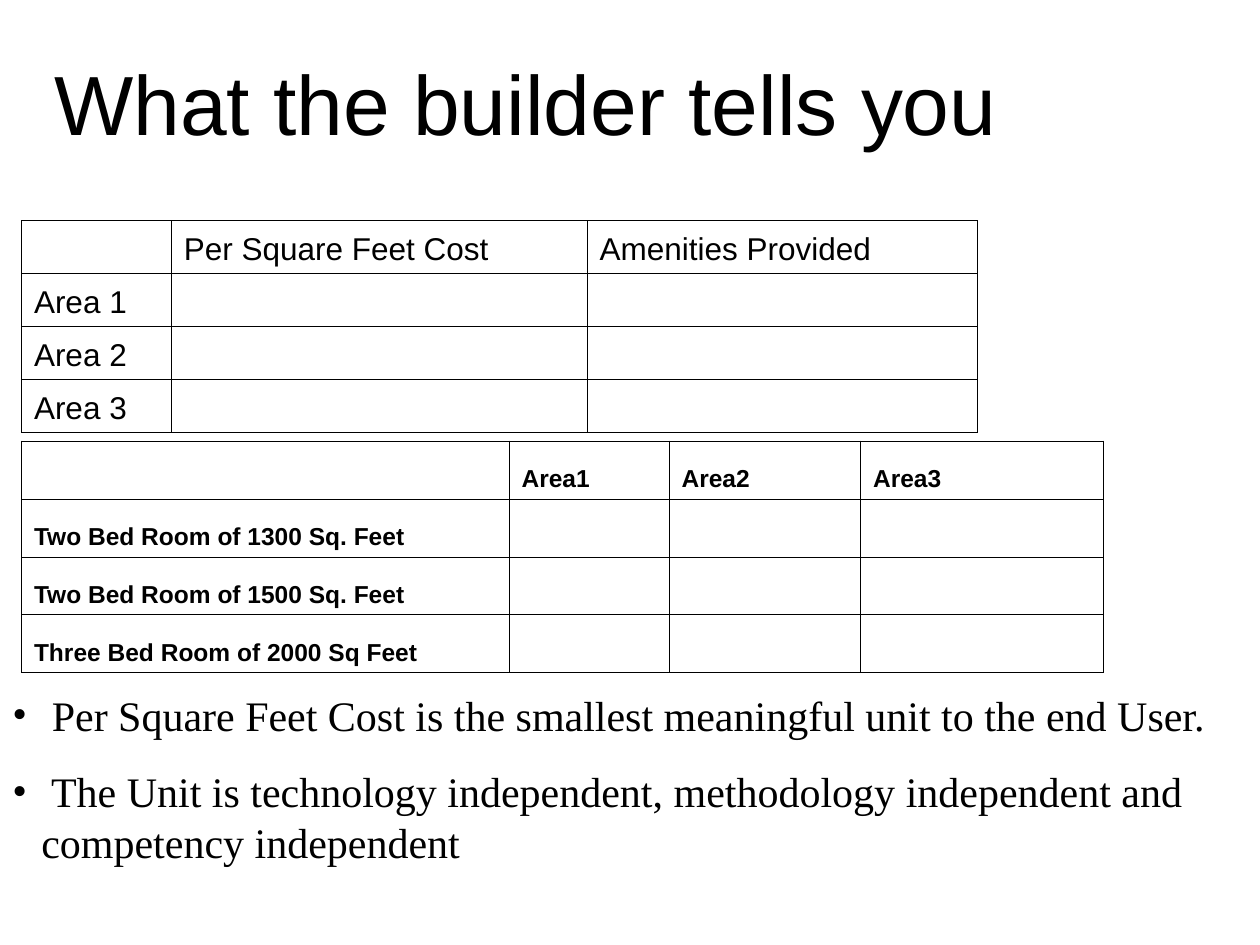
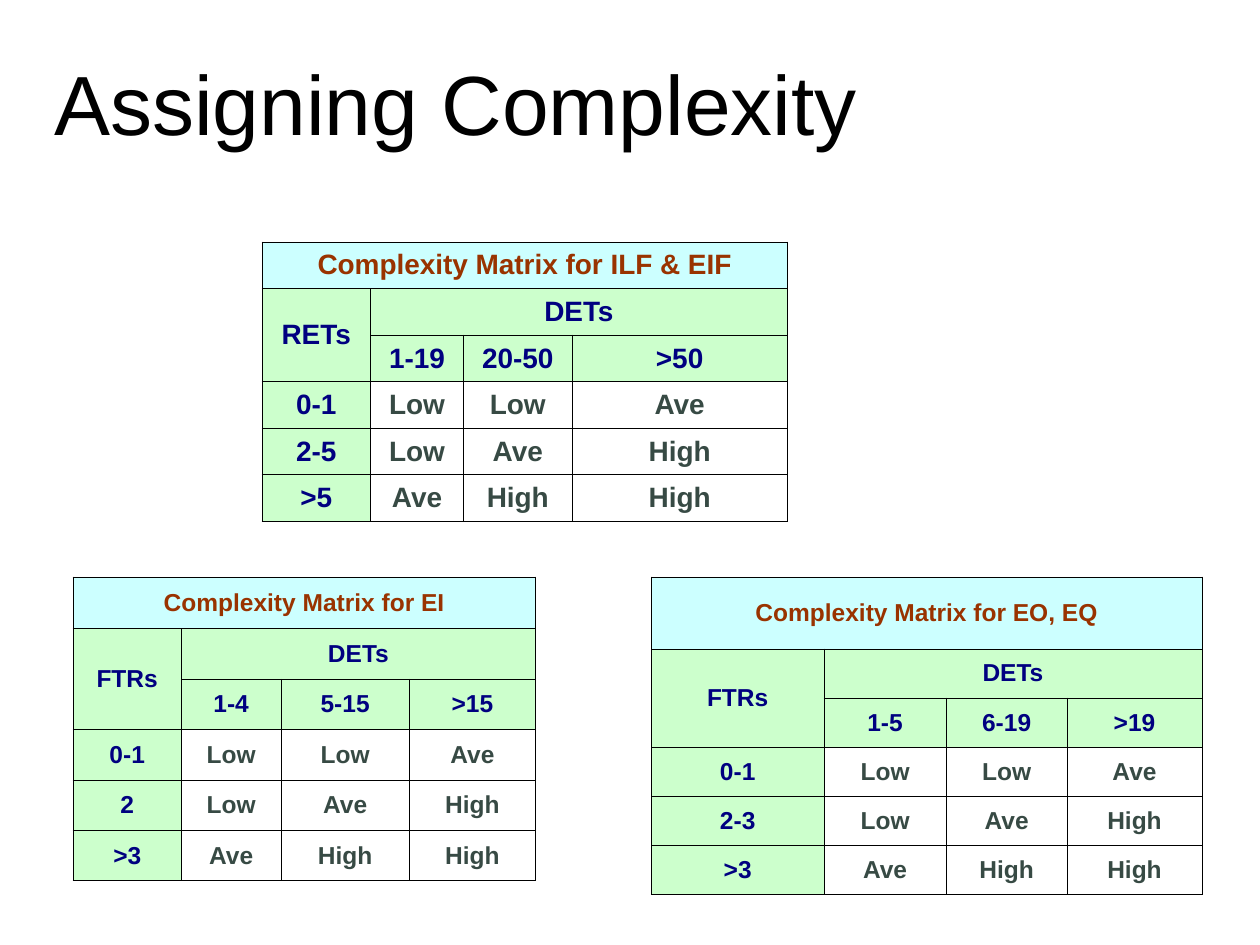
from dataclasses import dataclass

from lxml import etree
from pptx import Presentation
from pptx.dml.color import RGBColor
from pptx.enum.text import MSO_ANCHOR, MSO_AUTO_SIZE, PP_ALIGN
from pptx.oxml.ns import qn
from pptx.util import Inches, Pt

LEFT, CENTER = PP_ALIGN.LEFT, PP_ALIGN.CENTER
MIDDLE, BOTTOM = MSO_ANCHOR.MIDDLE, MSO_ANCHOR.BOTTOM
NO_FIT, GROW = MSO_AUTO_SIZE.NONE, MSO_AUTO_SIZE.SHAPE_TO_FIT_TEXT
TITLE_ONLY = 5


@dataclass(frozen=True)
class Theme:
    ink: str = "000000"
    paper: str = "FFFFFF"
    banner_fill: str = "CCFFFF"
    banner_text: str = "993300"
    header_fill: str = "CCFFCC"
    header_text: str = "000080"
    rating_text: str = "374A44"
    sans: str = "Arial"
    serif: str = "Times New Roman"
    title_size: int = 48
    bullet_size: int = 24
    large_size: int = 18
    medium_size: int = 16
    small_size: int = 14
    border_width: float = 0.45
    bullet_gap: int = 15
    bullet_indent: float = 0.23


# The same ratings hold in every complexity matrix.
RATINGS = [
    ["Low", "Low", "Ave"],
    ["Low", "Ave", "High"],
    ["Ave", "High", "High"],
]


class Deck:
    def __init__(self, theme):
        self.theme = theme
        self.presentation = Presentation()
        self.presentation.slide_width = Inches(10)
        self.presentation.slide_height = Inches(7.5)
        self.slide = None

    def style(self, paragraph, size, color, bold=False, face=None, align=LEFT):
        paragraph.alignment = align
        font = paragraph.font
        font.name = face or self.theme.sans
        font.size = Pt(size)
        font.bold = bold
        font.color.rgb = RGBColor.from_string(color)

    def add_slide(self, title):
        layout = self.presentation.slide_layouts[TITLE_ONLY]
        self.slide = self.presentation.slides.add_slide(layout)
        shape = self.slide.shapes.title
        shape.left, shape.top = Inches(0.33), Inches(0.33)
        shape.width, shape.height = Inches(9.33), Inches(0.96)
        frame = shape.text_frame
        frame.text = title
        frame.auto_size = NO_FIT
        frame.vertical_anchor = MIDDLE
        self.style(frame.paragraphs[0], self.theme.title_size, self.theme.ink)

    def add_grid(self, left, top, columns, rows):
        """Add an empty table with the given column widths and row heights."""
        table = self.slide.shapes.add_table(
            len(rows), len(columns), Inches(left), Inches(top),
            Inches(sum(columns)), Inches(sum(rows))).table
        table.first_row = table.horz_banding = False
        for column, width in zip(table.columns, columns):
            column.width = Inches(width)
        for row, height in zip(table.rows, rows):
            row.height = Inches(height)
        return table

    def fill_cell(self, cell, text, size, color, fill, bold, align, anchor):
        cell.text = text
        cell.vertical_anchor = anchor
        self.style(cell.text_frame.paragraphs[0], size, color, bold, align=align)
        self.add_borders(cell)
        cell.fill.solid()
        cell.fill.fore_color.rgb = RGBColor.from_string(fill)

    def add_borders(self, cell):
        properties = cell._tc.get_or_add_tcPr()
        for side in ("a:lnL", "a:lnR", "a:lnT", "a:lnB"):
            line = etree.SubElement(properties, qn(side), w=str(Pt(self.theme.border_width)))
            fill = etree.SubElement(line, qn("a:solidFill"))
            etree.SubElement(fill, qn("a:srgbClr"), val=self.theme.ink)

    def add_form(self, top, columns, row_height, headings, labels, size, bold=False):
        """Add a table with headings and row labels, and blank cells to fill in."""
        table = self.add_grid(0.17, top, columns, [row_height] * (len(labels) + 1))
        blanks = [""] * len(headings)
        lines = [["", *headings]] + [[label, *blanks] for label in labels]
        for row, line in enumerate(lines):
            for column, text in enumerate(line):
                self.fill_cell(table.cell(row, column), text, size, self.theme.ink,
                               self.theme.paper, bold, LEFT, BOTTOM)

    def add_matrix(self, left, top, columns, rows, name, row_kind,
                   row_ranges, column_ranges, size):
        theme = self.theme
        table = self.add_grid(left, top, columns, rows)
        lines = [
            [f"Complexity Matrix for {name}", "", "", ""],
            [row_kind, "DETs", "", ""],
            ["", *column_ranges],
            *([label, *ratings] for label, ratings in zip(row_ranges, RATINGS)),
        ]
        for row, line in enumerate(lines):
            for column, text in enumerate(line):
                if row == 0:
                    color, fill = theme.banner_text, theme.banner_fill
                elif row < 3 or column == 0:
                    color, fill = theme.header_text, theme.header_fill
                else:
                    color, fill = theme.rating_text, theme.paper
                self.fill_cell(table.cell(row, column), text, size, color, fill,
                               True, CENTER, MIDDLE)
        for first, last in (((0, 0), (0, 3)), ((1, 0), (2, 0)), ((1, 1), (1, 3))):
            table.cell(*first).merge(table.cell(*last))

    def add_bullets(self, left, top, width, height, texts):
        theme = self.theme
        box = self.slide.shapes.add_textbox(
            Inches(left), Inches(top), Inches(width), Inches(height))
        frame = box.text_frame
        frame.word_wrap = True
        frame.auto_size = GROW
        for index, text in enumerate(texts):
            paragraph = frame.add_paragraph() if index else frame.paragraphs[0]
            paragraph.text = text
            if index:
                paragraph.space_before = Pt(theme.bullet_gap)
            properties = paragraph._p.get_or_add_pPr()
            indent = Inches(theme.bullet_indent)
            properties.set("marL", str(indent))
            properties.set("indent", str(-indent))
            etree.SubElement(properties, qn("a:buFont"), typeface=theme.serif)
            etree.SubElement(properties, qn("a:buChar"), char="•")
            self.style(paragraph, theme.bullet_size, theme.ink, face=theme.serif)


def build_builder_slide(deck):
    theme = deck.theme
    deck.add_slide("What the builder tells you")
    deck.add_form(1.75, [1.19, 3.3, 3.1], 0.42,
                  ["Per Square Feet Cost", "Amenities Provided"],
                  ["Area 1", "Area 2", "Area 3"], theme.large_size)
    deck.add_form(3.5, [3.87, 1.27, 1.52, 1.93], 0.46,
                  ["Area1", "Area2", "Area3"],
                  ["Two Bed Room of 1300 Sq. Feet",
                   "Two Bed Room of 1500 Sq. Feet",
                   "Three Bed Room of 2000 Sq Feet"], theme.small_size, bold=True)
    deck.add_bullets(0, 5.42, 10, 1.51, [
        " Per Square Feet Cost is the smallest meaningful unit to the end User.",
        " The Unit is technology independent, methodology independent and "
        "competency independent",
    ])


def build_complexity_slide(deck):
    theme = deck.theme
    deck.add_slide("Assigning Complexity")
    deck.add_matrix(2.08, 1.92, [0.86, 0.74, 0.86, 1.71], [0.37] * 6,
                    "ILF & EIF", "RETs", ["0-1", "2-5", ">5"],
                    ["1-19", "20-50", ">50"], theme.medium_size)
    deck.add_matrix(0.58, 4.58, [0.86, 0.79, 1.02, 1], [0.41] + [0.4] * 5,
                    "EI", "FTRs", ["0-1", "2", ">3"],
                    ["1-4", "5-15", ">15"], theme.small_size)
    deck.add_matrix(5.17, 4.58, [1.37, 0.97, 0.96, 1.07], [0.57] + [0.39] * 5,
                    "EO, EQ", "FTRs", ["0-1", "2-3", ">3"],
                    ["1-5", "6-19", ">19"], theme.small_size)


def main():
    deck = Deck(Theme())
    build_builder_slide(deck)
    build_complexity_slide(deck)
    deck.presentation.save("out.pptx")


if __name__ == "__main__":
    main()
